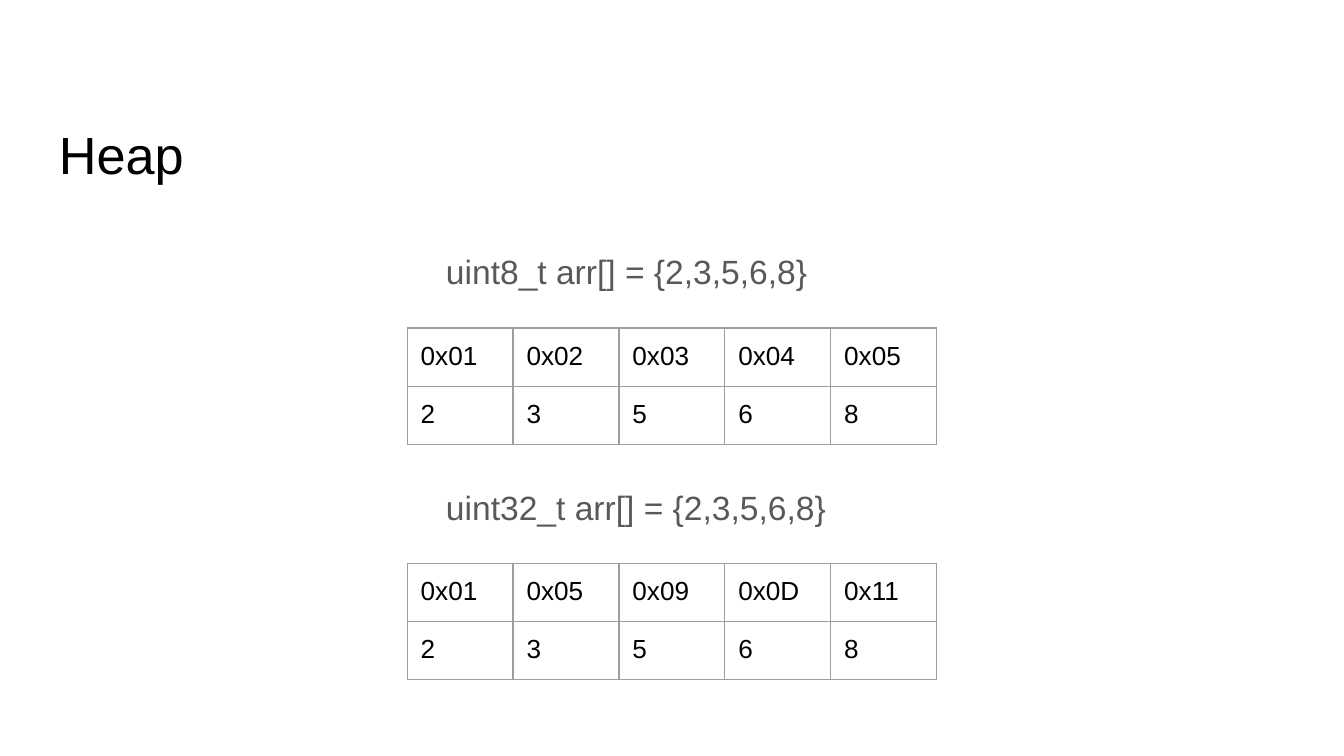
import pptx
import pptx.util
import pptx.dml.color
import pptx.enum.text
import pptx.oxml
import pptx.oxml.ns
from lxml import etree

Inches = pptx.util.Inches
Anchor = pptx.enum.text.MSO_ANCHOR
qualified = pptx.oxml.ns.qn

COLORS = {"title": "000000", "caption": "595959", "cell": "000000", "border": "9E9E9E"}
FONT = "Arial"
FORMATS = {
    "title": {"size": pptx.util.Pt(28), "name": FONT, "bold": False},
    "caption": {"size": pptx.util.Pt(18), "name": FONT, "bold": False},
    "cell": {"size": pptx.util.Pt(14), "name": FONT, "bold": False},
}
LINE_SPACING = {"title": 0.9, "caption": 1.0, "cell": 1.0}
MARGINS = ("margin_left", "margin_top", "margin_right", "margin_bottom")
TABLE_WIDTH = 3.94
ROW_HEIGHT = 0.42
VALUES = ["2", "3", "5", "6", "8"]
ARRAYS = [
    ("uint8_t", ["0x01", "0x02", "0x03", "0x04", "0x05"]),
    ("uint32_t", ["0x01", "0x05", "0x09", "0x0D", "0x11"]),
]


def write_text(text_frame, text, role):
    paragraph = text_frame.paragraphs[0]
    paragraph.line_spacing = LINE_SPACING[role]
    run = paragraph.add_run()
    run.text = text
    for attribute, value in FORMATS[role].items():
        setattr(run.font, attribute, value)
    run.font.color.rgb = pptx.dml.color.RGBColor.from_string(COLORS[role])


def set_margins(target):
    for margin in MARGINS:
        setattr(target, margin, Inches(0.1))


def add_label(slide, left, top, width, height, text, role, anchor):
    shape = slide.shapes.add_textbox(Inches(left), Inches(top), Inches(width), Inches(height))
    text_frame = shape.text_frame
    text_frame.word_wrap = True
    text_frame.vertical_anchor = anchor
    set_margins(text_frame)
    write_text(text_frame, text, role)


def set_default_font(text_frame, role):
    size = str(int(FORMATS[role]["size"].pt * 100))
    list_style = text_frame._txBody.find(qualified("a:lstStyle"))
    level = etree.SubElement(list_style, qualified("a:lvl1pPr"))
    paragraph = text_frame.paragraphs[0]._p
    for parent, tag in ((level, "a:defRPr"), (paragraph, "a:endParaRPr")):
        properties = etree.SubElement(parent, qualified(tag), sz=size)
        etree.SubElement(properties, qualified("a:latin"), typeface=FONT)


def add_borders(cell):
    properties = cell._tc.get_or_add_tcPr()
    for position, side in enumerate(("lnL", "lnR", "lnT", "lnB")):
        line = etree.fromstring(
            f'<a:{side} {pptx.oxml.ns.nsdecls("a")} w="9525"><a:solidFill>'
            f'<a:srgbClr val="{COLORS["border"]}"/></a:solidFill></a:{side}>',
            pptx.oxml.oxml_parser,
        )
        properties.insert(position, line)


def add_memory_table(slide, left, top, rows):
    column_count = len(rows[0])
    shape = slide.shapes.add_table(
        len(rows), column_count, Inches(left), Inches(top),
        Inches(TABLE_WIDTH), Inches(ROW_HEIGHT * len(rows)),
    )
    table = shape.table
    table.first_row = False
    table.horz_banding = False
    for column in table.columns:
        column.width = Inches(TABLE_WIDTH / column_count)
    for row, texts in zip(table.rows, rows):
        row.height = Inches(ROW_HEIGHT)
        for cell, text in zip(row.cells, texts):
            set_margins(cell)
            write_text(cell.text_frame, text, "cell")
            set_default_font(cell.text_frame, "cell")
            cell.fill.background()
            add_borders(cell)


def add_array(slide, left, top, type_name, addresses):
    declaration = f"{type_name} arr[] = {{{','.join(VALUES)}}}"
    add_label(slide, left + 0.19, top, 3.36, 0.45, declaration, "caption", Anchor.TOP)
    add_memory_table(slide, left, top + 0.67, [addresses, VALUES])


def build_heap_slide(presentation):
    slide = presentation.slides.add_slide(presentation.slide_layouts[6])
    add_label(slide, 0.34, 0.81, 9.32, 0.73, "Heap", "title", Anchor.MIDDLE)
    for index, (type_name, addresses) in enumerate(ARRAYS):
        add_array(slide, 3.03, 1.77 + 1.75 * index, type_name, addresses)


def main():
    presentation = pptx.Presentation()
    presentation.slide_width = Inches(10)
    presentation.slide_height = Inches(10 * 9 / 16)
    build_heap_slide(presentation)
    presentation.save("out.pptx")


if __name__ == "__main__":
    main()
